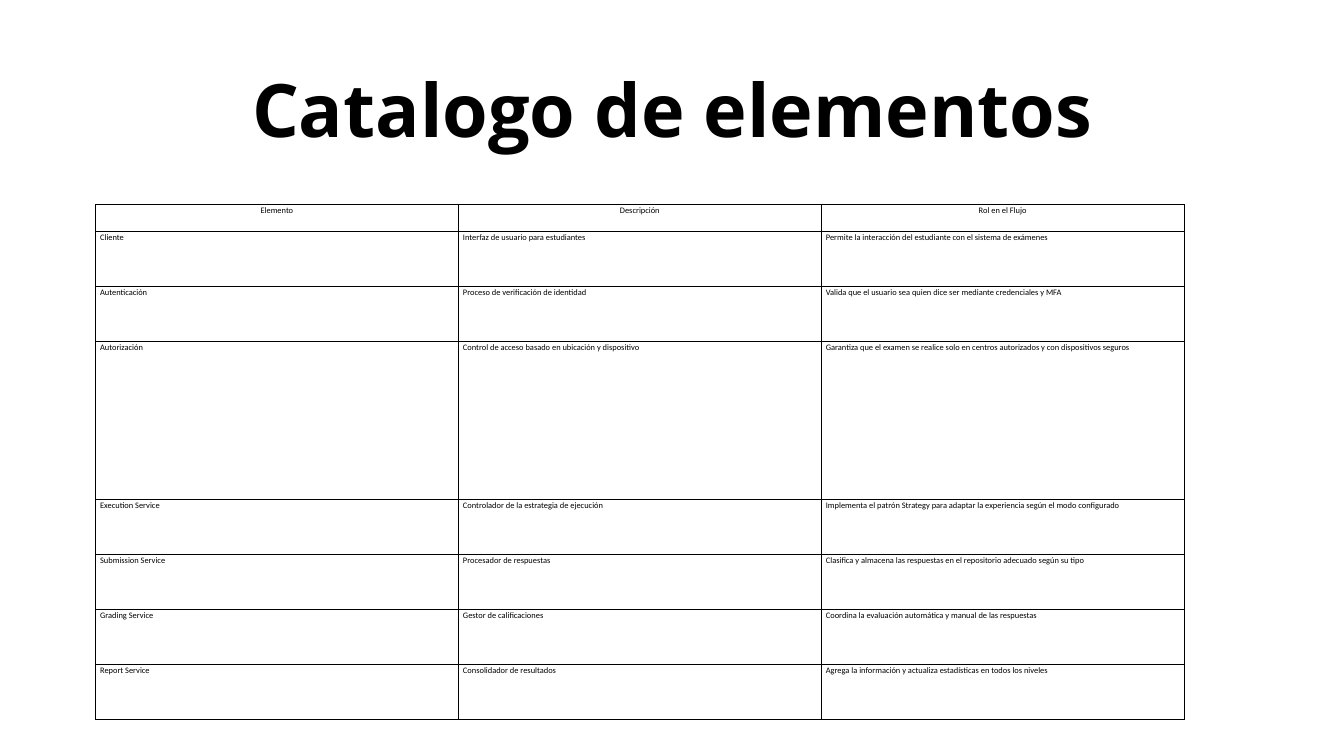
from dataclasses import dataclass

from lxml.etree import SubElement
from pptx import Presentation
from pptx.dml.color import RGBColor
from pptx.enum.text import MSO_ANCHOR as Anchor, MSO_AUTO_SIZE as AutoSize, PP_ALIGN as Align
from pptx.oxml.ns import qn
from pptx.util import Emu, Pt

EMU_PER_PX = 9144
BLACK = "000000"
TITLE_ONLY = 5
COLUMN_WIDTH = 540
HEADER_HEIGHT, ROW_HEIGHT, TALL_ROW_HEIGHT = 40, 82, 235


@dataclass(frozen=True)
class Box:
    """A place on the slide in px."""
    left: int
    top: int
    width: int
    height: int


@dataclass(frozen=True)
class Entry:
    """One row of the catalogue."""
    element: str
    description: str
    role: str
    height: int = ROW_HEIGHT


HEADER = Entry("Elemento", "Descripción", "Rol en el Flujo", HEADER_HEIGHT)
ENTRIES = [
    Entry("Cliente", "Interfaz de usuario para estudiantes",
          "Permite la interacción del estudiante con el sistema de exámenes"),
    Entry("Autenticación", "Proceso de verificación de identidad",
          "Valida que el usuario sea quien dice ser mediante credenciales y MFA"),
    Entry("Autorización", "Control de acceso basado en ubicación y dispositivo",
          "Garantiza que el examen se realice solo en centros autorizados y con dispositivos seguros",
          TALL_ROW_HEIGHT),
    Entry("Execution Service", "Controlador de la estrategia de ejecución",
          "Implementa el patrón Strategy para adaptar la experiencia según el modo configurado"),
    Entry("Submission Service", "Procesador de respuestas",
          "Clasifica y almacena las respuestas en el repositorio adecuado según su tipo"),
    Entry("Grading Service", "Gestor de calificaciones",
          "Coordina la evaluación automática y manual de las respuestas"),
    Entry("Report Service", "Consolidador de resultados",
          "Agrega la información y actualiza estadísticas en todos los niveles"),
]


def px(length: int) -> Emu:
    """Turn px into EMU."""
    return Emu(length * EMU_PER_PX)


def color(value: str) -> RGBColor:
    """Turn a hex string into a colour."""
    return RGBColor.from_string(value)


def add_text(paragraph, text: str, font_name: str, size: int, bold: bool = False) -> None:
    """Add one formatted run to a paragraph."""
    run = paragraph.add_run()
    run.text = text
    run.font.name = font_name
    run.font.size = Pt(size)
    run.font.bold = bold
    run.font.color.rgb = color(BLACK)


def draw_title(slide, text: str, box: Box) -> None:
    """Place and fill the slide title."""
    title = slide.shapes.title
    title.left, title.top = px(box.left), px(box.top)
    title.width, title.height = px(box.width), px(box.height)
    frame = title.text_frame
    frame.margin_left = frame.margin_right = frame.margin_top = frame.margin_bottom = 0
    frame.vertical_anchor = Anchor.TOP
    frame.word_wrap = True
    frame.auto_size = AutoSize.SHAPE_TO_FIT_TEXT
    heading = frame.paragraphs[0]
    heading.alignment = Align.CENTER
    heading.line_spacing = Pt(110.6)
    heading.space_before = Pt(0)
    add_text(heading, text, "Open Sans", 79, bold=True)


def add_borders(cell) -> None:
    """Draw a thin black line on every side of a cell."""
    properties = cell._tc.get_or_add_tcPr()
    for position, side in enumerate(("a:lnL", "a:lnR", "a:lnT", "a:lnB")):
        line = SubElement(properties, qn(side), w=str(Pt(1)))
        SubElement(SubElement(line, qn("a:solidFill")), qn("a:srgbClr"), val=BLACK)
        properties.insert(position, line)


def fill_cell(cell, text: str, alignment: Align) -> None:
    """Write and format one cell."""
    cell.margin_left = cell.margin_right = px(7)
    cell.margin_top = cell.margin_bottom = 0
    cell.fill.background()
    add_borders(cell)
    paragraph = cell.text_frame.paragraphs[0]
    paragraph.alignment = alignment
    paragraph.line_spacing = 1.15
    paragraph.space_after = Pt(10)
    add_text(paragraph, text, "Calibri", 9)


def draw_catalogue(slide, left: int, top: int) -> None:
    """Draw the table of elements."""
    entries = [HEADER, *ENTRIES]
    height = sum(entry.height for entry in entries)
    catalogue = slide.shapes.add_table(
        len(entries), 3, px(left), px(top), px(3 * COLUMN_WIDTH), px(height)).table
    catalogue.first_row = catalogue.horz_banding = False
    for column in catalogue.columns:
        column.width = px(COLUMN_WIDTH)
    for row, entry in zip(catalogue.rows, entries):
        row.height = px(entry.height)
        alignment = Align.CENTER if entry is HEADER else Align.LEFT
        for cell, text in zip(row.cells, (entry.element, entry.description, entry.role)):
            fill_cell(cell, text, alignment)


def main() -> None:
    """Build and save the slide."""
    deck = Presentation()
    deck.slide_width, deck.slide_height = px(2000), px(1125)
    slide = deck.slides.add_slide(deck.slide_layouts[TITLE_ONLY])
    draw_title(slide, "Catalogo de elementos", Box(190, 73, 1620, 147))
    draw_catalogue(slide, 142, 304)
    deck.save("out.pptx")


if __name__ == "__main__":
    main()
